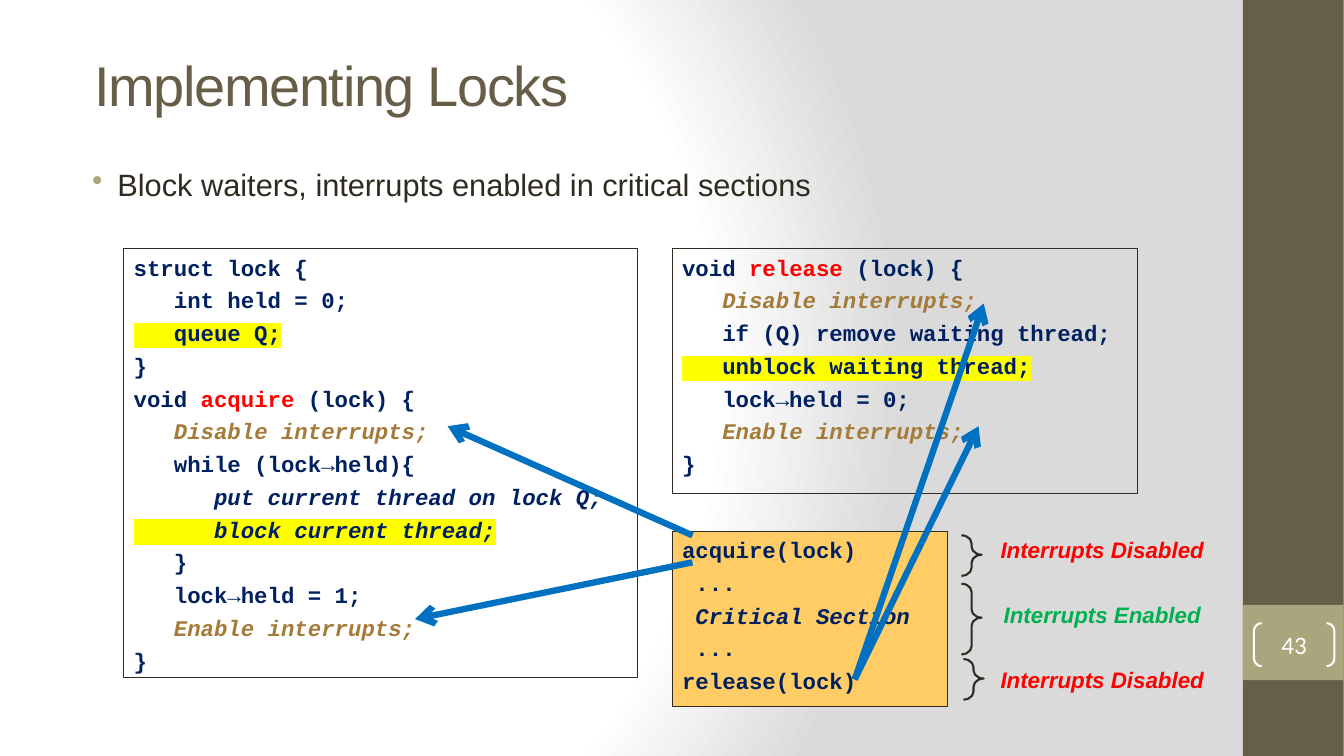
"""Build the slide "Implementing Locks": two code boxes, a usage box and arrows."""
from lxml import etree
from pptx import Presentation, util as u
from pptx.dml.color import RGBColor
from pptx.enum import shapes, text
from pptx.oxml import parse_xml
from pptx.oxml.ns import nsdecls, qn

WHITE = RGBColor(0xFF, 0xFF, 0xFF)
BROWN = RGBColor(0x67, 0x5E, 0x47)
OLIVE = RGBColor(0xA9, 0xA5, 0x7C)
INK = RGBColor(0x2F, 0x2B, 0x20)
NAVY = RGBColor(0x00, 0x20, 0x60)
RED = RGBColor(0xFF, 0x00, 0x00)
GREEN = RGBColor(0x00, 0xB0, 0x50)
TAN = RGBColor(0xA4, 0x7B, 0x38)
ORANGE = RGBColor(0xFF, 0xCC, 0x66)
YELLOW = RGBColor(0xFF, 0xFF, 0x00)
BLUE = RGBColor(0x00, 0x70, 0xC0)

CODE = {"name": "Courier New", "size": u.Pt(16), "bold": True, "color": NAVY}
NAME = CODE | {"color": RED}
NOTE = CODE | {"color": TAN, "italic": True}
IDEA = CODE | {"italic": True}
MARK = CODE | {"highlight": YELLOW}
IDEA_MARK = IDEA | MARK
OFF = {"name": "Arial", "size": u.Pt(16), "bold": True, "italic": True, "color": RED}
ON = OFF | {"color": GREEN}
TITLE = {"name": "Arial", "size": u.Pt(40), "color": BROWN}
POINT = {"name": "Arial", "size": u.Pt(22), "color": INK}
NUMBER = {"name": "Calibri", "size": u.Pt(18), "color": WHITE}

KIND = shapes.MSO_SHAPE
ALIGN = text.PP_ALIGN
ANCHOR = text.MSO_ANCHOR

deck = Presentation()
deck.slide_width, deck.slide_height = u.Cm(33.87), u.Cm(19.05)
page = deck.slides.add_slide(deck.slide_layouts[6])


def add_box(kind, frame, fill=None, line=None, weight=0.75):
    box = page.shapes.add_shape(kind, *map(u.Cm, frame))
    box.shadow.inherit = False
    for part, color in ((box.fill, fill), (box.line.fill, line)):
        if color is None:
            part.background()
        else:
            part.solid()
            part.fore_color.rgb = color
    if line is not None:
        box.line.width = u.Pt(weight)
    return box


def write(box, lines, gap=0, align=ALIGN.LEFT, anchor=ANCHOR.TOP):
    frame = box.text_frame
    frame.word_wrap = True
    frame.vertical_anchor = anchor
    for index, line in enumerate(lines):
        para = frame.add_paragraph() if index else frame.paragraphs[0]
        para.alignment = align
        para.space_before = u.Pt(gap if index else 0)
        for words, style in line:
            span = para.add_run()
            span.text = words
            span.font.color.rgb = style["color"]
            if "highlight" in style:
                mark = etree.SubElement(span.font._element, qn("a:highlight"))
                etree.SubElement(mark, qn("a:srgbClr"), val=str(style["highlight"]))
            for key, value in style.items():
                if key not in ("color", "highlight"):
                    setattr(span.font, key, value)


page.background.fill.gradient()
gradient = page.element.find(".//" + qn("a:gradFill"))
gradient.getparent().replace(gradient, parse_xml(
    f'<a:gradFill {nsdecls("a")} rotWithShape="1"><a:gsLst>'
    + "".join(f'<a:gs pos="{stop}"><a:srgbClr val="{color}"/></a:gs>'
              for stop, color in ((0, "FFFFFF"), (75000, "FFFFFF"), (100000, "DADADA")))
    + '</a:gsLst><a:path path="circle">'
    '<a:fillToRect l="20000" t="50000" r="100000" b="50000"/></a:path></a:gradFill>'))

add_box(KIND.RECTANGLE, (31.32, 0, 2.54, 19.05), BROWN)
add_box(KIND.RECTANGLE, (31.32, 15.24, 2.54, 1.9), OLIVE)

title = page.shapes.add_textbox(*map(u.Cm, (2.13, 1.55, 27.71, 1.14)))
write(title, [[("Implementing Locks", TITLE)]], anchor=ANCHOR.MIDDLE)
title.text_frame.paragraphs[0].runs[0].font._element.set("spc", "-100")

number = add_box(KIND.DOUBLE_BRACKET, (31.6, 15.7, 2.03, 1.09), line=WHITE, weight=1.5)
number.adjustments[0] = 0.18
for side in ("left", "top", "right", "bottom"):
    setattr(number.text_frame, f"margin_{side}", 0)
write(number, [[("43", NUMBER)]], align=ALIGN.CENTER, anchor=ANCHOR.MIDDLE)

point = page.shapes.add_textbox(*map(u.Cm, (1.75, 4.04, 28.98, 2.24)))
write(point, [[("Block waiters, interrupts enabled in critical sections", POINT)]],
      align=ALIGN.JUSTIFY)
bullet = point.text_frame.paragraphs[0]._p.get_or_add_pPr()
bullet.set("marL", str(u.Cm(0.96)))
bullet.set("indent", str(u.Cm(-0.64)))
bullet_color = etree.SubElement(bullet, qn("a:buClr"))
etree.SubElement(bullet_color, qn("a:srgbClr"), val=str(OLIVE))
etree.SubElement(bullet, qn("a:buChar"), char="•")

disable = [("   ", CODE), ("Disable interrupts;", NOTE)]
enable = [("   ", CODE), ("Enable interrupts;", NOTE)]
close = [("}", CODE)]
acquire_code = [
    [("struct lock {", CODE)],
    [("   int held = 0;", CODE)],
    [("   queue Q;", MARK)],
    close,
    [("void ", CODE), ("acquire", NAME), (" (lock) {", CODE)],
    disable,
    [("   while (lock→held){", CODE)],
    [("      put current thread on lock Q;", IDEA)],
    [("      block current thread;", IDEA_MARK)],
    [("   }", CODE)],
    [("   lock→held = 1;", CODE)],
    enable,
    close,
]
release_code = [
    [("void ", CODE), ("release", NAME), (" (lock) {", CODE)],
    disable,
    [("   if (Q) remove waiting thread;", CODE)],
    [("   unblock waiting thread;", MARK)],
    [("   lock→held = 0;", CODE)],
    enable,
    close,
]
usage_code = [
    [("acquire(lock)", CODE)],
    [(" ...", CODE)],
    [(" ", CODE), ("Critical Section", IDEA)],
    [(" ...", CODE)],
    [("release(lock)", CODE)],
]
for frame, fill, code in (
    ((3.12, 6.27, 12.95, 10.8), None, acquire_code),
    ((16.94, 6.27, 11.73, 6.17), None, release_code),
    ((16.94, 13.39, 6.93, 4.42), ORANGE, usage_code),
):
    write(add_box(KIND.RECTANGLE, frame, fill, INK), code, gap=4.2)

states = page.shapes.add_textbox(*map(u.Cm, (24.54, 13.39, 6.48, 4.88)))
write(states, [[("Interrupts Disabled", OFF)], [("Interrupts Enabled", ON)],
               [("Interrupts Disabled", OFF)]], gap=27.3, align=ALIGN.CENTER)

for left, top, height in ((24.23, 13.49, 1.02), (24.28, 16.61, 1.02), (24.23, 14.71, 1.78)):
    brace = add_box(KIND.RIGHT_BRACE, (left, top, 0.51, height), line=INK, weight=1.5)
    brace.adjustments[0], brace.adjustments[1] = 0.4, 0.48

for ends in (
    (21.54, 17.12, 24.79, 7.65),
    (21.54, 17.12, 24.66, 10.74),
    (17.45, 13.49, 11.28, 10.74),
    (17.45, 14.17, 10.46, 15.6),
):
    arrow = page.shapes.add_connector(shapes.MSO_CONNECTOR.STRAIGHT, *map(u.Cm, ends))
    arrow.line.color.rgb = BLUE
    arrow.line.width = u.Pt(4.5)
    etree.SubElement(arrow.line._get_or_add_ln(), qn("a:tailEnd"), type="arrow")
    etree.SubElement(arrow._element.spPr, qn("a:effectLst"))

deck.save("out.pptx")
